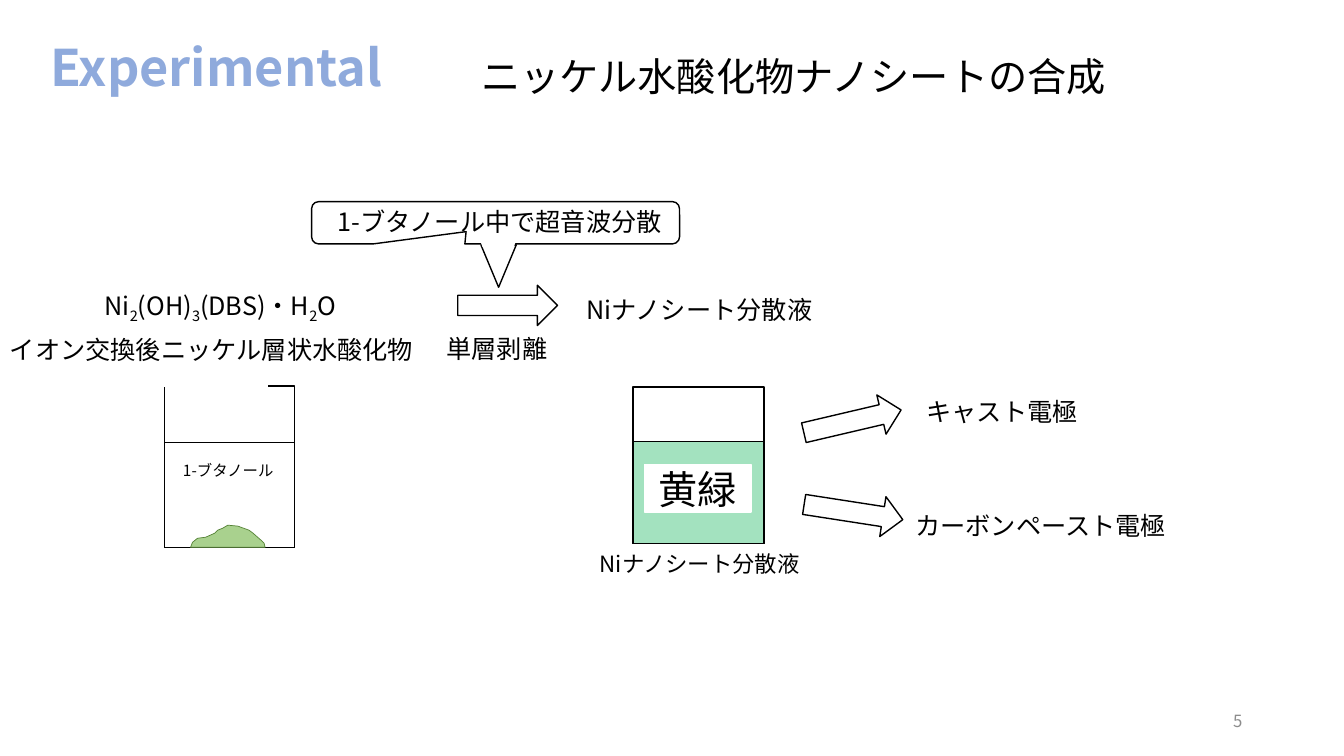
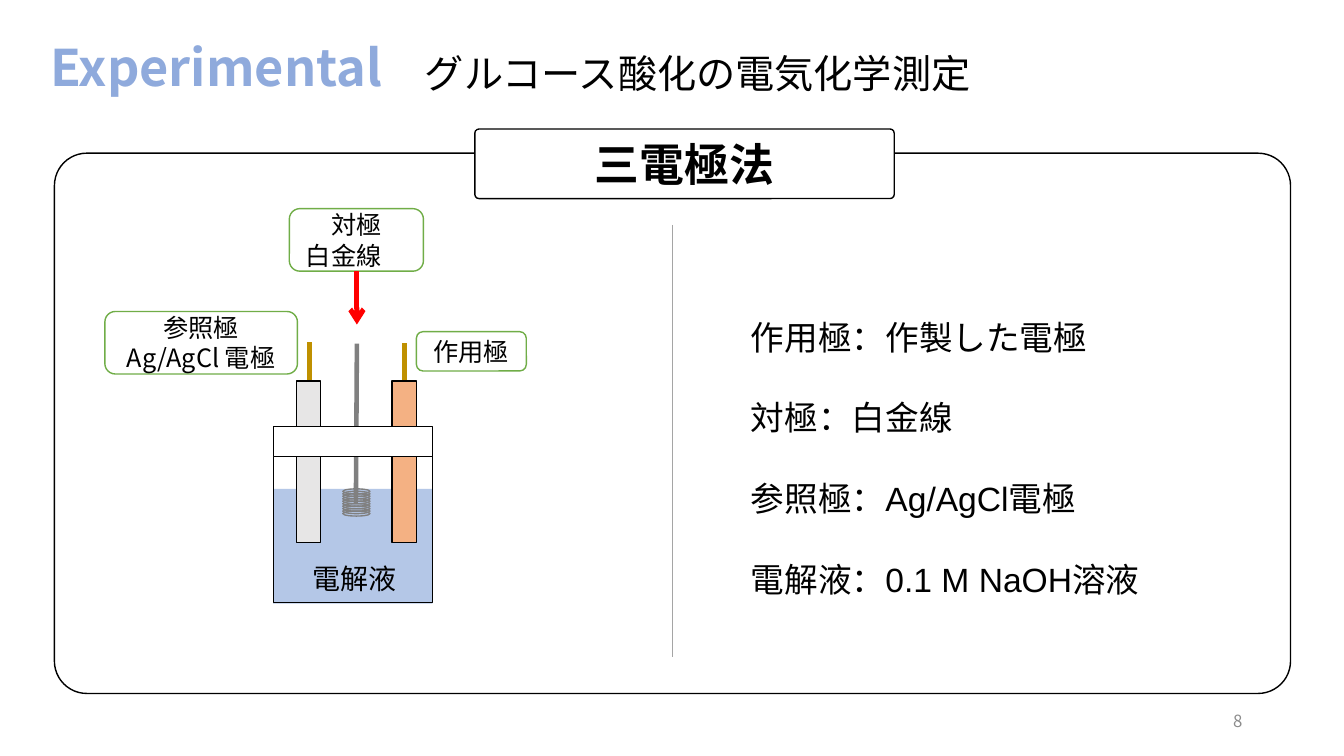
from dataclasses import dataclass
from typing import NamedTuple, Optional

from lxml import etree
from pptx import Presentation
from pptx.dml.color import RGBColor
from pptx.enum.shapes import MSO_CONNECTOR, MSO_SHAPE as Preset
from pptx.enum.text import MSO_ANCHOR as Anchor, PP_ALIGN as Align
from pptx.oxml.ns import qn
from pptx.util import Inches, Pt

BLACK = RGBColor(0x00, 0x00, 0x00)
WHITE = RGBColor(0xFF, 0xFF, 0xFF)
TITLE_BLUE = RGBColor(0x8F, 0xAA, 0xDC)
PAGE_GRAY = RGBColor(0x8C, 0x8C, 0x8C)
DIVIDER_GRAY = RGBColor(0xA5, 0xA5, 0xA5)
WIRE_GRAY = RGBColor(0x80, 0x80, 0x80)
GOLD = RGBColor(0xBF, 0x90, 0x00)
RED = RGBColor(0xFF, 0x00, 0x00)
POWDER_GREEN = RGBColor(0xA9, 0xD1, 0x8E)
POWDER_EDGE = RGBColor(0x54, 0x82, 0x35)
SOLUTION_GREEN = RGBColor(0x00, 0xB0, 0x50)
LABEL_GREEN = RGBColor(0x70, 0xAD, 0x47)
ELECTROLYTE_BLUE = RGBColor(0xB4, 0xC7, 0xE7)
ELECTRODE_ORANGE = RGBColor(0xF4, 0xB1, 0x83)
ELECTRODE_GRAY = RGBColor(0xE7, 0xE6, 0xE6)

MAIN_FONT = "Noto Sans CJK JP"


class Box(NamedTuple):
    left: float
    top: float
    width: float
    height: float

    def lengths(self) -> list:
        return [Inches(value) for value in self]


@dataclass
class Text:
    """Paragraphs parted by newlines; every second part between bars is subscript."""
    words: str
    size: float = 18
    font: str = MAIN_FONT
    color: RGBColor = BLACK
    bold: bool = False
    align: Align = Align.LEFT
    anchor: Anchor = Anchor.TOP
    wrap: bool = False
    line_spacing: float = 1.0
    space_after: float = 0


@dataclass
class Block:
    preset: Preset
    box: Box
    fill: Optional[RGBColor] = None
    line: Optional[RGBColor] = BLACK
    opacity: int = 100
    rotation: float = 0
    adjustments: tuple = ()
    text: Optional[Text] = None


@dataclass
class Line:
    start: tuple
    end: tuple
    color: RGBColor
    width: float
    arrow: bool = False


def write(frame, text: Text) -> None:
    frame_format = {"word_wrap": text.wrap, "vertical_anchor": text.anchor}
    paragraph_format = {"alignment": text.align, "line_spacing": text.line_spacing,
                        "space_after": Pt(text.space_after)}
    font_format = {"size": Pt(text.size), "name": text.font, "bold": text.bold}
    for name, value in frame_format.items():
        setattr(frame, name, value)
    for index, words in enumerate(text.words.split("\n")):
        paragraph = frame.add_paragraph() if index else frame.paragraphs[0]
        for name, value in paragraph_format.items():
            setattr(paragraph, name, value)
        for position, part in enumerate(words.split("|")):
            run = paragraph.add_run()
            run.text = part
            for name, value in font_format.items():
                setattr(run.font, name, value)
            run.font.color.rgb = text.color
            properties = run.font._element
            etree.SubElement(properties, qn("a:ea")).set("typeface", MAIN_FONT)
            if position % 2:
                properties.set("baseline", "-25000")


def paint(shape, fill: Optional[RGBColor], line: Optional[RGBColor],
          opacity: int = 100, width: float = 1) -> None:
    shape.shadow.inherit = False
    if fill is None:
        shape.fill.background()
    else:
        shape.fill.solid()
        shape.fill.fore_color.rgb = fill
        if opacity < 100:
            color = shape.fill._xPr.find(".//" + qn("a:srgbClr"))
            etree.SubElement(color, qn("a:alpha")).set("val", str(opacity * 1000))
    if line is None:
        shape.line.fill.background()
    else:
        shape.line.color.rgb = line
        shape.line.width = Pt(width)


def add_text(slide, box: Box, text: Text) -> None:
    write(slide.shapes.add_textbox(*box.lengths()).text_frame, text)


def add_block(slide, block: Block) -> None:
    shape = slide.shapes.add_shape(block.preset, *block.box.lengths())
    shape.rotation = block.rotation
    for index, value in enumerate(block.adjustments):
        shape.adjustments[index] = value
    paint(shape, block.fill, block.line, block.opacity)
    if block.text:
        write(shape.text_frame, block.text)


def add_line(slide, line: Line) -> None:
    ends = [Inches(value) for value in line.start + line.end]
    connector = slide.shapes.add_connector(MSO_CONNECTOR.STRAIGHT, *ends)
    connector.line.color.rgb = line.color
    connector.line.width = Pt(line.width)
    if line.arrow:
        outline = connector.line._get_or_add_ln()
        etree.SubElement(outline, qn("a:tailEnd")).set("type", "arrow")
    etree.SubElement(connector._element.spPr, qn("a:effectLst"))


def add_all(slide, items: list) -> None:
    for item in items:
        if isinstance(item, Line):
            add_line(slide, item)
        else:
            add_block(slide, item)


def start_slide(presentation, heading: str, heading_box: Box, number: int):
    """Add a blank slide with the section title, heading and page number."""
    slide = presentation.slides.add_slide(presentation.slide_layouts[6])
    add_text(slide, Box(0.4, 0.35, 4.47, 0.7),
             Text("Experimental", 36, color=TITLE_BLUE, bold=True,
                  anchor=Anchor.MIDDLE, wrap=True, line_spacing=0.9))
    add_text(slide, Box(9.42, 6.95, 3, 0.4),
             Text(str(number), 12, color=PAGE_GRAY, align=Align.RIGHT,
                  anchor=Anchor.MIDDLE, wrap=True))
    add_text(slide, heading_box, Text(heading, 28, align=Align.CENTER, wrap=True))
    return slide


def centered(words: str, size: float = 18, **options) -> Text:
    return Text(words, size, align=Align.CENTER, anchor=Anchor.MIDDLE,
                wrap=True, **options)


def beaker(box: Box, level: float, fill: RGBColor, opacity: int) -> list:
    """A glass filled with liquid from the given level down."""
    liquid = Box(box.left, level, box.width, box.top + box.height - level)
    return [Block(Preset.RECTANGLE, box, WHITE),
            Block(Preset.RECTANGLE, liquid, fill, opacity=opacity)]


def add_powder(slide) -> None:
    outline = [(1.89, 5.43), (1.91, 5.38), (1.96, 5.34), (2.04, 5.33), (2.13, 5.29),
               (2.16, 5.26), (2.21, 5.24), (2.26, 5.21), (2.36, 5.22), (2.47, 5.26),
               (2.51, 5.29), (2.59, 5.36), (2.62, 5.39), (2.63, 5.43)]
    points = [(Inches(x), Inches(y)) for x, y in outline]
    builder = slide.shapes.build_freeform(*points[0])
    builder.add_line_segments(points[1:], close=True)
    paint(builder.convert_to_shape(), POWDER_GREEN, POWDER_EDGE, width=0.5)


def build_synthesis(presentation) -> None:
    slide = start_slide(presentation, "ニッケル水酸化物ナノシートの合成",
                        Box(3.48, 0.47, 8.78, 0.57), 5)
    add_all(slide, [
        Block(Preset.ROUNDED_RECTANGULAR_CALLOUT, Box(3.09, 2, 3.65, 0.42),
              adjustments=(-0.08, 0.21, 0.17)),
        Block(Preset.ISOSCELES_TRIANGLE, Box(4.77, 2.43, 0.35, 0.42), rotation=180),
        Block(Preset.TRAPEZOID, Box(4.76, 2.37, 0.36, 0.08), WHITE, WHITE,
              rotation=180, adjustments=(0.42,)),
    ])
    for left, top, rotation in [(4.54, 2.83, 0), (7.96, 3.98, 346.8), (7.97, 4.88, 8.8)]:
        add_block(slide, Block(Preset.RIGHT_ARROW, Box(left, top, 0.99, 0.4),
                               rotation=rotation))

    source_glass = beaker(Box(1.63, 3.83, 1.29, 1.6), 4.39, WHITE, 10)
    source_glass.insert(1, Line((1.38, 3.83), (2.66, 3.83), WHITE, 2))
    add_all(slide, source_glass)
    add_powder(slide)
    add_all(slide, beaker(Box(6.28, 3.84, 1.3, 1.55), 4.38, SOLUTION_GREEN, 36))
    add_block(slide, Block(Preset.RECTANGLE, Box(6.39, 4.61, 1.06, 0.47), WHITE, WHITE,
                           text=centered("黄緑", 28)))

    product = "Niナノシート分散液"
    for box, text in [
        (Box(2.91, 2, 4.09, 0.4),
         Text("1-ブタノール中で超音波分散", align=Align.CENTER, wrap=True)),
        (Box(0.94, 2.83, 2.87, 0.4), Text("Ni|2|(OH)|3|(DBS)・H|2|O")),
        (Box(0, 3.27, 4.24, 0.4), Text("イオン交換後ニッケル層状水酸化物")),
        (Box(4.33, 3.26, 1.21, 0.4), Text("単層剥離")),
        (Box(5.72, 2.87, 2.48, 0.4), Text(product, wrap=True)),
        (Box(5.85, 5.41, 2.22, 0.37), Text(product, 16, wrap=True)),
        (Box(9.09, 3.88, 1.72, 0.4), Text("キャスト電極", font="Arial")),
        (Box(8.98, 5.01, 2.73, 0.4), Text("カーボンペースト電極")),
        (Box(1.63, 4.53, 1.27, 0.29),
         Text("1-ブタノール", 11, align=Align.CENTER, wrap=True)),
    ]:
        add_text(slide, box, text)


def build_measurement(presentation) -> None:
    slide = start_slide(presentation, "グルコース酸化の電気化学測定",
                        Box(3.99, 0.44, 5.86, 0.57), 8)
    add_all(slide, [
        Block(Preset.RECTANGLE, Box(2.71, 4.85, 1.58, 1.14), ELECTROLYTE_BLUE, None),
        Line((3.53, 4.99), (3.54, 3.41), WIRE_GRAY, 3.25),
        Line((4.01, 3.98), (4.01, 3.4), GOLD, 3.25),
        Line((3.07, 3.98), (3.07, 3.39), GOLD, 3.25),
        Block(Preset.RECTANGLE, Box(2.71, 4.53, 1.58, 1.45)),
        Block(Preset.RECTANGLE, Box(3.89, 3.78, 0.24, 1.6), ELECTRODE_ORANGE),
        Block(Preset.RECTANGLE, Box(2.94, 3.78, 0.24, 1.6), ELECTRODE_GRAY),
        Block(Preset.RECTANGLE, Box(2.71, 4.23, 1.58, 0.3), WHITE),
    ])
    for box, words in [
        (Box(1.04, 3.09, 1.91, 0.62), "参照極\nAg/AgCl 電極"),
        (Box(2.87, 2.07, 1.33, 0.62), "対極\n白金線　"),
        (Box(4.13, 3.29, 1.09, 0.39), "作用極"),
    ]:
        add_block(slide, Block(Preset.ROUNDED_RECTANGLE, box, WHITE, LABEL_GREEN,
                               text=centered(words)))
    add_line(slide, Line((3.54, 2.69), (3.54, 3.22), RED, 3.5, arrow=True))
    add_block(slide, Block(Preset.ROUNDED_RECTANGLE, Box(2.83, 5.45, 1.37, 0.57), line=None,
                           text=centered("電解液", 20, font="Times New Roman")))

    coil_turns, coil_top, coil_height = 10, 4.85, 0.22
    for turn in range(coil_turns):
        top = coil_top + turn * coil_height / (coil_turns - 1)
        add_block(slide, Block(Preset.OVAL, Box(3.4, top, 0.27, 0.05), line=WIRE_GRAY))

    conditions = ["作用極：作製した電極", "対極：白金線", "参照極：Ag/AgCl電極",
                  "電解液：0.1 M NaOH溶液"]
    add_text(slide, Box(7.35, 3.09, 4.12, 2.93),
             Text("\n".join(conditions), 24, "Arial", wrap=True, space_after=29))
    add_all(slide, [
        Block(Preset.ROUNDED_RECTANGLE, Box(0.54, 1.52, 12.26, 5.36), adjustments=(0.06,)),
        Block(Preset.ROUNDED_RECTANGLE, Box(4.71, 1.28, 4.16, 0.69), WHITE,
              adjustments=(0.06,), text=centered("三電極法", 32, bold=True)),
        Line((6.67, 2.23), (6.67, 6.52), DIVIDER_GRAY, 0.5),
    ])


def main() -> None:
    presentation = Presentation()
    presentation.slide_width = Inches(13.33)
    presentation.slide_height = Inches(7.5)
    build_synthesis(presentation)
    build_measurement(presentation)
    presentation.save("out.pptx")


if __name__ == "__main__":
    main()
